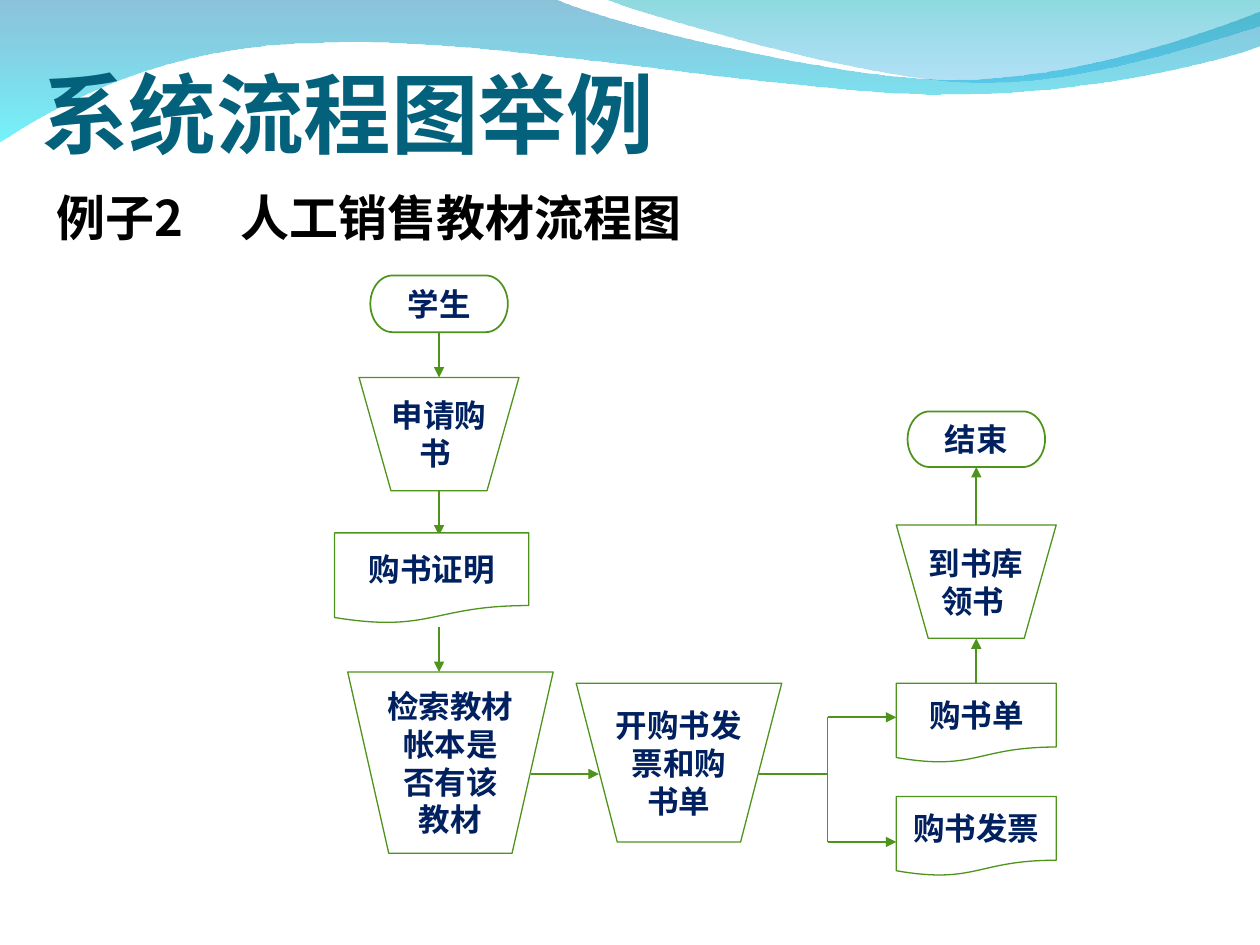
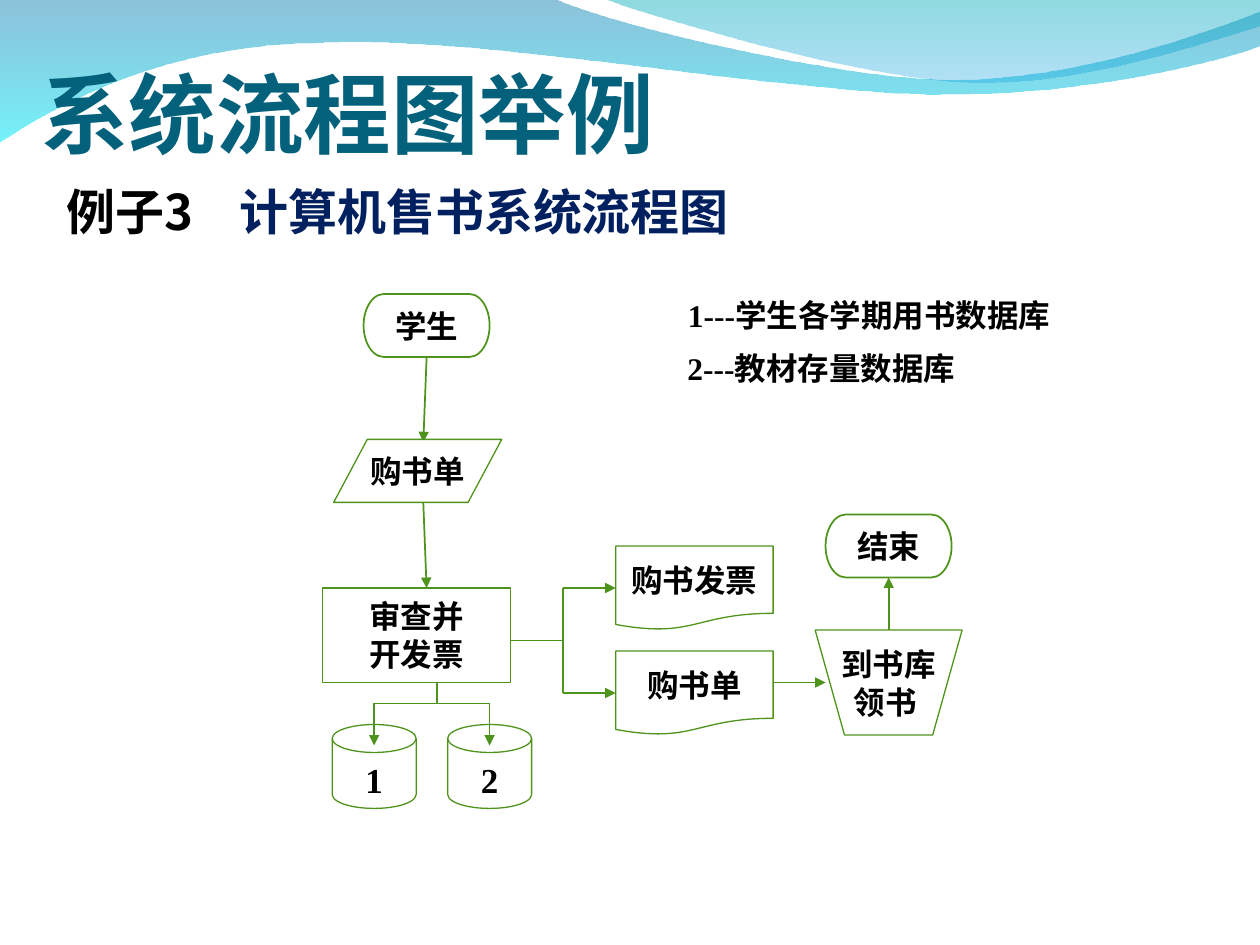
"""Build two slides of system flowcharts for selling textbooks."""
from dataclasses import dataclass

from lxml import etree
from pptx import Presentation
from pptx.dml.color import RGBColor
from pptx.enum.shapes import MSO_CONNECTOR, MSO_SHAPE
from pptx.enum.text import MSO_ANCHOR, PP_ALIGN
from pptx.oxml.ns import qn
from pptx.util import Pt

TERMINATOR = MSO_SHAPE.FLOWCHART_TERMINATOR
MANUAL = MSO_SHAPE.FLOWCHART_MANUAL_OPERATION
DOCUMENT = MSO_SHAPE.FLOWCHART_DOCUMENT
INPUT = MSO_SHAPE.FLOWCHART_DATA
PROCESS = MSO_SHAPE.FLOWCHART_PROCESS
DISK = MSO_SHAPE.FLOWCHART_MAGNETIC_DISK
CALLOUT = MSO_SHAPE.RECTANGULAR_CALLOUT
STRAIGHT = MSO_CONNECTOR.STRAIGHT
TOP, MIDDLE, BOTTOM = MSO_ANCHOR.TOP, MSO_ANCHOR.MIDDLE, MSO_ANCHOR.BOTTOM
LEFT, CENTER = PP_ALIGN.LEFT, PP_ALIGN.CENTER
TOP_SIDE, LEFT_SIDE, BOTTOM_SIDE = 0, 1, 2


@dataclass(frozen=True)
class Theme:
    black: str = "000000"
    white: str = "FFFFFF"
    navy: str = "002060"
    teal: str = "04617B"
    green: str = "4E931B"
    heading_font: str = "Noto Sans CJK SC"
    body_font: str = "Times New Roman"
    title_size: float = 50
    heading_size: float = 28
    body_size: float = 18
    disk_size: float = 20
    thin: float = 0.75
    regular: float = 1
    wide_stops: tuple = (("0079AF", 45), ("00EBF8", 55))
    right_stops: tuple = (("00ADB6", 45), ("009BE5", 30))


WIDE_WAVE = (
    (0, -0.7),
    [
        [(316.8, -0.7)],
        [(342.7, 12.2), (478.1, 45.4), (545.8, 45.4)],
        [(614.2, 45.4), (689.8, 18.7), (720, 6.5)],
        [(720.7, 25.9)],
        [(707.8, 31.7), (626.4, 54.7), (537.1, 54)],
        [(447.8, 54), (275, 20.2), (185, 24.5)],
        [(92.9, 25.2), (33.1, 59.8), (-0.7, 81.4)],
    ],
)
RIGHT_WAVE = (
    (344.9, -0.7),
    [
        [(366.5, 7.9), (491, 44.6), (553.7, 46.8)],
        [(616.3, 49.7), (691.9, 23), (720, 15.1)],
        [(720, 0)],
    ],
)


@dataclass(frozen=True)
class Side:
    shape: object
    site: int

    @property
    def point(self):
        shape = self.shape
        left, top = shape.left.pt, shape.top.pt
        width, height = shape.width.pt, shape.height.pt
        return {
            TOP_SIDE: (left + width / 2, top),
            LEFT_SIDE: (left, top + height / 2),
            BOTTOM_SIDE: (left + width / 2, top + height),
        }[self.site]


def points(values):
    return [Pt(value) for value in values]


def color(value):
    return RGBColor.from_string(value)


def bend(shape, segments):
    corners = iter(list(shape.element.iter(qn("a:lnTo"))))
    for segment in segments:
        steps = [next(corners) for _ in segment]
        if len(steps) == 3:
            curve = etree.Element(qn("a:cubicBezTo"))
            steps[0].addprevious(curve)
            for step in steps:
                curve.append(step[0])
                step.getparent().remove(step)


class FlowchartDeck:
    def __init__(self, theme):
        self.theme = theme
        self.presentation = Presentation()
        self.presentation.slide_width, self.presentation.slide_height = Pt(720), Pt(540)
        self.slide = None
        self.ink = theme.black

    def new_slide(self, title, ink):
        theme = self.theme
        self.slide = self.presentation.slides.add_slide(self.presentation.slide_layouts[6])
        self.ink = ink
        self.wave(WIDE_WAVE, theme.wide_stops)
        self.wave(RIGHT_WAVE, theme.right_stops)
        box = self.text_box((16.6, 9.4, 649.4, 88.6), BOTTOM)
        box.text_frame.text = title
        self.style(box, theme.heading_font, theme.title_size, theme.teal)

    def wave(self, outline, stops):
        start, segments = outline
        builder = self.slide.shapes.build_freeform(*points(start), scale=1.0)
        builder.add_line_segments([points(vertex) for segment in segments for vertex in segment])
        shape = builder.convert_to_shape()
        bend(shape, segments)
        shape.shadow.inherit = False
        shape.line.fill.background()
        shape.fill.gradient()
        shape.fill.gradient_angle = 270
        for stop, (value, _) in zip(shape.fill.gradient_stops, stops):
            stop.color.rgb = color(value)
        for element, (_, opacity) in zip(shape.element.iter(qn("a:srgbClr")), stops):
            etree.SubElement(element, qn("a:alpha"), val=str(opacity * 1000))

    def text_box(self, bounds, anchor=TOP):
        box = self.slide.shapes.add_textbox(*points(bounds))
        box.text_frame.word_wrap = True
        box.text_frame.vertical_anchor = anchor
        return box

    def style(self, shape, font_name, size, ink=None, align=LEFT):
        for paragraph in shape.text_frame.paragraphs:
            paragraph.alignment = align
            font = paragraph.font
            font.name, font.size, font.bold = font_name, Pt(size), True
            if ink:
                font.color.rgb = color(ink)
        for latin in list(shape.element.iter(qn("a:latin"))):
            east_asian = etree.Element(qn("a:ea"), typeface=self.theme.heading_font)
            latin.addnext(east_asian)

    def heading(self, bounds, label, name, ink, tab):
        box = self.text_box(bounds)
        paragraph = box.text_frame.paragraphs[0]
        for text, run_ink in ((f"{label}\t", self.theme.black), (name, ink)):
            run = paragraph.add_run()
            run.text = text
            run.font.color.rgb = color(run_ink)
        self.style(box, self.theme.heading_font, self.theme.heading_size)
        tabs = etree.Element(qn("a:tabLst"))
        etree.SubElement(tabs, qn("a:tab"), pos=str(Pt(tab)), algn="l")
        paragraph._p.get_or_add_pPr().insert(0, tabs)

    def filled_shape(self, kind, bounds, text, size, align=CENTER, anchor=MIDDLE):
        shape = self.slide.shapes.add_shape(kind, *points(bounds))
        shape.shadow.inherit = False
        shape.fill.solid()
        shape.fill.fore_color.rgb = color(self.theme.white)
        shape.text_frame.text = text
        shape.text_frame.vertical_anchor = anchor
        self.style(shape, self.theme.body_font, size, self.ink, align)
        return shape

    def node(self, kind, bounds, text):
        theme = self.theme
        size, anchor = (theme.disk_size, TOP) if kind == DISK else (theme.body_size, MIDDLE)
        shape = self.filled_shape(kind, bounds, text, size, anchor=anchor)
        shape.text_frame.word_wrap = False
        shape.line.color.rgb = color(theme.green)
        shape.line.width = Pt(theme.regular if kind == TERMINATOR else theme.thin)
        return shape

    def legend(self, bounds, text, tip, align=CENTER, indent=0):
        shape = self.filled_shape(CALLOUT, bounds, text, self.theme.body_size, align, TOP)
        shape.line.fill.background()
        shape.adjustments[0], shape.adjustments[1] = tip
        shape.text_frame.word_wrap = True
        shape.text_frame.margin_left = Pt(7.2 + indent)

    def line(self, start, end, width=None, arrow=False):
        ends = [item.point if isinstance(item, Side) else item for item in (start, end)]
        connector = self.slide.shapes.add_connector(STRAIGHT, *points(ends[0] + ends[1]))
        if isinstance(start, Side):
            connector.begin_connect(start.shape, start.site)
        if isinstance(end, Side):
            connector.end_connect(end.shape, end.site)
        connector.line.color.rgb = color(self.theme.green)
        connector.line.width = Pt(width or self.theme.regular)
        if arrow:
            etree.SubElement(connector.line._get_or_add_ln(), qn("a:tailEnd"), type="triangle")
        etree.SubElement(connector.element.spPr, qn("a:effectLst"))

    def arrow(self, start, end, width=None):
        self.line(start, end, width, arrow=True)

    def branch(self, start, junction, corners, ends, bus_width=None):
        self.line(start, junction)
        self.line(*corners, bus_width)
        for corner, end in zip(corners, ends):
            self.arrow(corner, end)


def manual_sales(deck):
    theme = deck.theme
    deck.new_slide("系统流程图举例", theme.navy)
    deck.heading((25.2, 103.7, 414, 41), "例子2", "人工销售教材流程图", theme.black, 105.3)
    axis, row, bus, column = 250.9, 442.3, 473, 512.2
    student = deck.node(TERMINATOR, (211.6, 157.4, 78.6, 32.4), "学生")
    request = deck.node(MANUAL, (205.2, 215.7, 91.4, 64.8), "申请购\n书 ")
    deck.arrow(Side(student, BOTTOM_SIDE), Side(request, TOP_SIDE))
    deck.arrow(Side(request, BOTTOM_SIDE), (axis, 306))
    deck.node(DOCUMENT, (191.2, 304.5, 111, 51.8), "购书证明")
    deck.arrow((axis, 358.2), (axis, 384))
    deck.node(MANUAL, (198.7, 384, 117.4, 103.6), "检索教材\n帐本是\n否有该\n教材")
    deck.arrow((303.3, row), (342.2, row))
    deck.node(MANUAL, (329.3, 390.5, 117.4, 90.7), "开购书发\n票和购\n书单")
    order = deck.node(DOCUMENT, (column, 390.5, 91.4, 45.4), "购书单")
    deck.node(DOCUMENT, (column, 455.2, 91.4, 45.4), "购书发票")
    heights = (409.9, 481.1)
    deck.branch((434, row), (bus, row), [(bus, y) for y in heights],
                [(column, y) for y in heights], theme.thin)
    pickup = deck.node(MANUAL, (column, 300, 91.4, 64.8), "到书库\n领书 ")
    finish = deck.node(TERMINATOR, (518.6, 235.1, 78.6, 31.8), "结束")
    deck.arrow(Side(order, TOP_SIDE), Side(pickup, BOTTOM_SIDE))
    deck.arrow(Side(pickup, TOP_SIDE), Side(finish, BOTTOM_SIDE))


def computer_sales(deck):
    theme = deck.theme
    deck.new_slide("系统流程图举例", theme.black)
    deck.heading((31, 100, 465, 41), "例子3", "计算机售书系统流程图", theme.navy, 98.8)
    student = deck.node(TERMINATOR, (207.8, 168, 72, 36), "学生")
    deck.arrow(Side(student, BOTTOM_SIDE), (241.9, 252.7))
    deck.node(INPUT, (190.7, 251.1, 96, 36), "购书单")
    deck.arrow((241.9, 287.1), (243.8, 336))
    deck.node(PROCESS, (184.3, 336, 107.3, 54), "审查并\n开发票")
    invoice, order = [
        deck.node(DOCUMENT, (351.8, top, 90, 48), text)
        for top, text in ((312, "购书发票"), (372, "购书单"))
    ]
    deck.branch((291.6, 366), (321.8, 366), [(321.8, 336), (321.8, 396)],
                [Side(invoice, LEFT_SIDE), Side(order, LEFT_SIDE)])
    pickup = deck.node(MANUAL, (465.8, 360, 84, 60), "到书库\n领书 ")
    finish = deck.node(TERMINATOR, (471.8, 294, 72, 36), "结束")
    deck.arrow((441.8, 390), (471.8, 390), theme.thin)
    deck.arrow(Side(pickup, TOP_SIDE), Side(finish, BOTTOM_SIDE))
    disk_centers = (213.8, 279.8)
    for number, center in enumerate(disk_centers, 1):
        deck.node(DISK, (center - 24, 414, 48, 48), str(number))
    deck.branch((249.8, 390), (249.8, 402), [(x, 402) for x in disk_centers],
                [(x, 426) for x in disk_centers])
    deck.legend((376.6, 165.8, 240, 30), "1---学生各学期用书数据库", (-0.154, -0.008))
    deck.legend((376.6, 195.9, 192, 30), "2---教材存量数据库", (-0.005, -0.608), LEFT, 9)


def main():
    deck = FlowchartDeck(Theme())
    manual_sales(deck)
    computer_sales(deck)
    deck.presentation.save("out.pptx")


if __name__ == "__main__":
    main()
